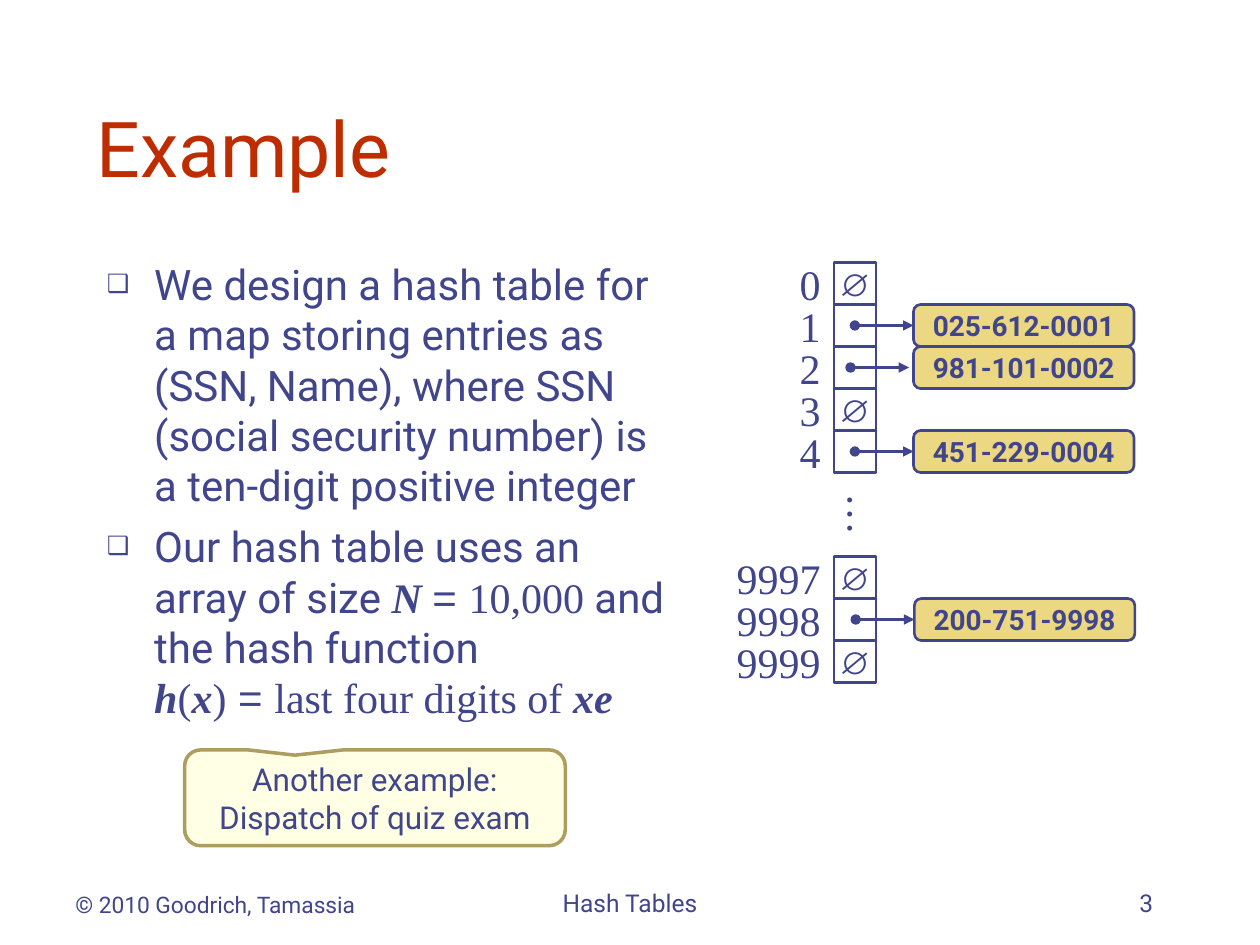
import pptx
import pptx.util
import pptx.dml.color
import pptx.enum.shapes
import pptx.enum.text
import pptx.oxml
import pptx.oxml.ns

Pt = pptx.util.Pt
qn = pptx.oxml.ns.qn
KIND = pptx.enum.shapes.MSO_SHAPE
INK, RED, GOLD = "40458C", "BE2D00", "ECD882"
SANS, SERIF, PLAIN = "Roboto", "Times New Roman", "Arial"
ALIGN = {"l": pptx.enum.text.PP_ALIGN.LEFT, "c": pptx.enum.text.PP_ALIGN.CENTER,
         "r": pptx.enum.text.PP_ALIGN.RIGHT}
ANCHOR = {"t": pptx.enum.text.MSO_ANCHOR.TOP, "m": pptx.enum.text.MSO_ANCHOR.MIDDLE,
          "b": pptx.enum.text.MSO_ANCHOR.BOTTOM}


def paint(part, color):
    part.solid()
    part.fore_color.rgb = pptx.dml.color.RGBColor.from_string(color)


def add_xml(parent, tag, **attrs):
    node = parent.makeelement(qn(tag), attrs)
    parent.append(node)
    return node


def add_run(para, text, size=24, font=SANS, color=INK, bold=False, ital=False):
    run = para.add_run()
    run.text = text
    face = run.font
    face.size, face.name, face.bold, face.italic = Pt(size), font, bold, ital
    paint(face.fill, color)


def write(shape, text, align="l", anchor="t", wrap=True, **style):
    frame = shape.text_frame
    frame.word_wrap = wrap
    frame.vertical_anchor = ANCHOR[anchor]
    for i, line in enumerate(text.split("\n")):
        para = frame.add_paragraph() if i else frame.paragraphs[0]
        para.alignment = ALIGN[align]
        add_run(para, line, **style)


def add_text(shapes, box, text, **style):
    shape = shapes.add_textbox(*map(Pt, box))
    write(shape, text, **style)
    return shape


def add_box(shapes, kind, box, fill=None, line=INK, width=1.5):
    shape = shapes.add_shape(kind, *map(Pt, box))
    shape.shadow.inherit = False
    if fill:
        paint(shape.fill, fill)
    else:
        shape.fill.background()
    paint(shape.line.fill, line)
    shape.line.width = Pt(width)
    return shape


def add_arrow(shapes, x, y, length):
    line = shapes.add_connector(pptx.enum.shapes.MSO_CONNECTOR.STRAIGHT,
                                Pt(x), Pt(y), Pt(x + length), Pt(y))
    paint(line.line.fill, INK)
    line.line.width = Pt(1.5)
    props = line.line._get_or_add_ln()
    add_xml(props, "a:headEnd", type="oval")
    add_xml(props, "a:tailEnd", type="triangle")
    add_xml(line._element.spPr, "a:effectLst")


def add_list(shapes, box, items):
    frame = shapes.add_textbox(*map(Pt, box)).text_frame
    frame.word_wrap = True
    for i, runs in enumerate(items):
        para = frame.add_paragraph() if i else frame.paragraphs[0]
        para.space_before = Pt(6)
        props = para._p.get_or_add_pPr()
        props.set("marL", str(Pt(27)))
        props.set("indent", str(Pt(-27)))
        add_xml(add_xml(props, "a:buClr"), "a:srgbClr", val=INK)
        add_xml(props, "a:buSzPct", val="60000")
        add_xml(props, "a:buFont", typeface=PLAIN)
        add_xml(props, "a:buChar", char="❑")
        for text, style in runs:
            if text == "\n":
                para.add_line_break()
            else:
                add_run(para, text, **style)


def add_table(shapes, left, top, rows):
    """Bucket array: row number, index, entry, and sideways shift of entry and arrow."""
    side = 24
    for row, index, entry, shift, nudge in rows:
        y = top + row * side
        cell = add_box(shapes, KIND.RECTANGLE, (left, y, side, side))
        if not entry:
            write(cell, "∅", align="c", anchor="m", wrap=False, size=18, font=PLAIN)
        wide = 28 if len(index) == 1 else 68
        add_text(shapes, (left - 0.5 - wide, y - 6, wide, 36), index,
                 align="r", wrap=False, font=SERIF)
        if entry:
            card = add_box(shapes, KIND.ROUNDED_RECTANGLE,
                           (left + 45.5 + shift, y, 126, side), GOLD)
            write(card, entry, align="c", anchor="m", wrap=False, size=16, bold=True)
            add_arrow(shapes, left + 12 + nudge, y + side / 2, 33.5)
    dots = add_text(shapes, (left - 1.5, top + 5.25 * side, 38, 36), "…",
                    align="c", wrap=False, font=SERIF)
    dots.rotation = 90


def add_note(shapes, box, text):
    note = add_box(shapes, KIND.ROUNDED_RECTANGULAR_CALLOUT, box, "FFFFCC", "AD9E5E", 2)
    for i, value in enumerate((-0.21, -0.445, 0.167)):
        note.adjustments[i] = value
    tint = note._element.spPr.find(qn("a:solidFill"))[0]
    add_xml(tint, "a:alpha", val="50000")
    write(note, text, align="c", anchor="m", wrap=False, size=18)


def add_foot(shapes, top, parts):
    for left, width, text, align, size in parts:
        add_text(shapes, (left, top, width, 36), text,
                 align=align, anchor="b", size=size)


deck = pptx.Presentation()
deck.slide_width, deck.slide_height = Pt(720), Pt(540)
slide = deck.slides.add_slide(deck.slide_layouts[6])
shapes = slide.shapes

# Title and text
add_text(shapes, (48, 24, 630, 90), "Example", anchor="b", size=44, color=RED)
math = {"font": SERIF}
var = {"font": SERIF, "bold": True, "ital": True}
sign = {"font": PLAIN}
add_list(shapes, (54, 144, 342, 348), [
    [("We design a hash table for a map storing entries as (SSN, Name), where SSN "
      "(social security number) is a ten-digit positive integer", {})],
    [("Our hash table uses an array of size ", {}), ("N ", var), ("= ", sign),
     ("10,000", math), (" and the hash function", {}), ("\n", {}),
     ("h", var), ("(", math), ("x", var), (")", math), (" = ", sign),
     ("last four digits of ", math), ("xe", var)],
])

# Hash table
add_table(shapes.add_group_shape().shapes, 476.5, 150, [
    (0, "0", "", 0, 0),
    (1, "1", "025-612-0001", 0, 0),
    (2, "2", "981-101-0002", 0, -2.5),
    (3, "3", "", 0, 0),
    (4, "4", "451-229-0004", 0, 0),
    (7, "9997", "", 0, 0),
    (8, "9998", "200-751-9998", 0.5, 0.5),
    (9, "9999", "", 0, 0),
])

# Callout and footer
add_note(shapes, (105.5, 428.5, 217.5, 54.75), "Another example:\nDispatch of quiz exam")
add_foot(shapes, 492, [
    (36, 192, "© 2010 Goodrich, Tamassia", "l", 13),
    (246, 228, "Hash Tables", "c", 14),
    (516, 150, "3", "r", 14),
])

deck.save("out.pptx")
